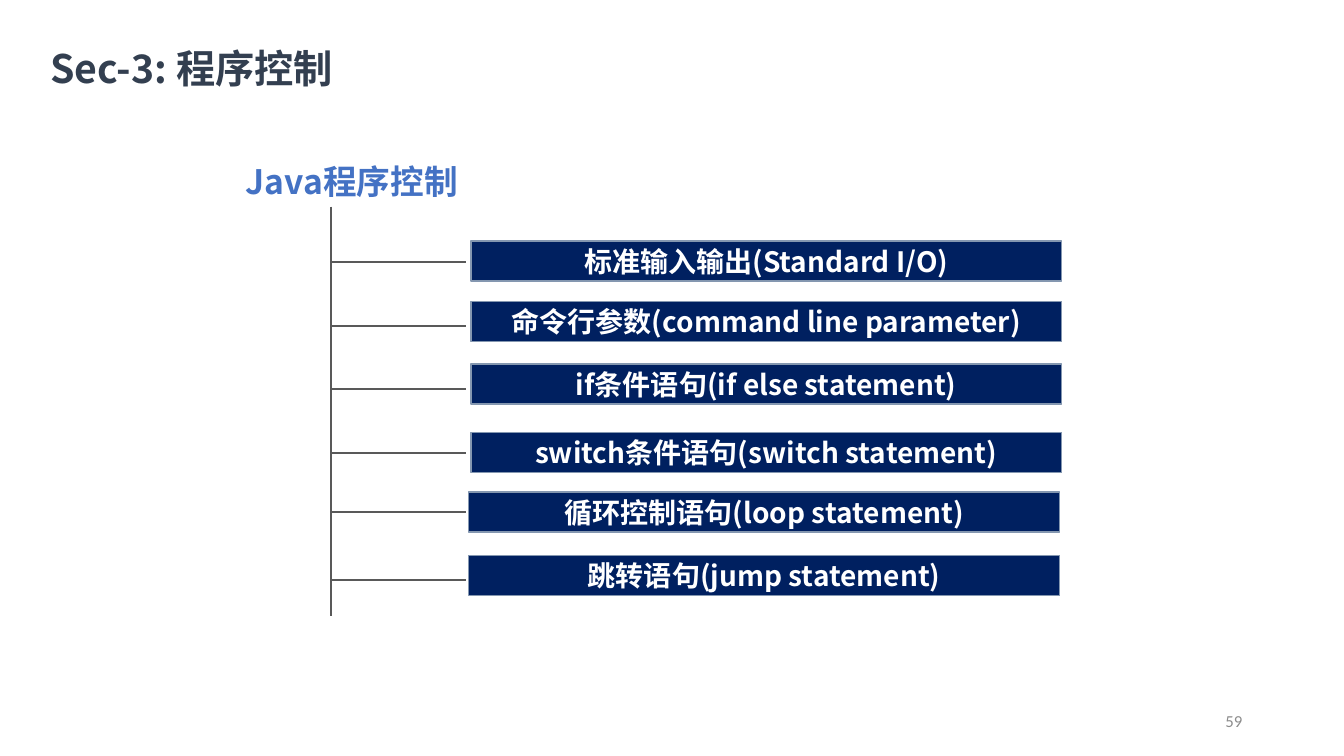
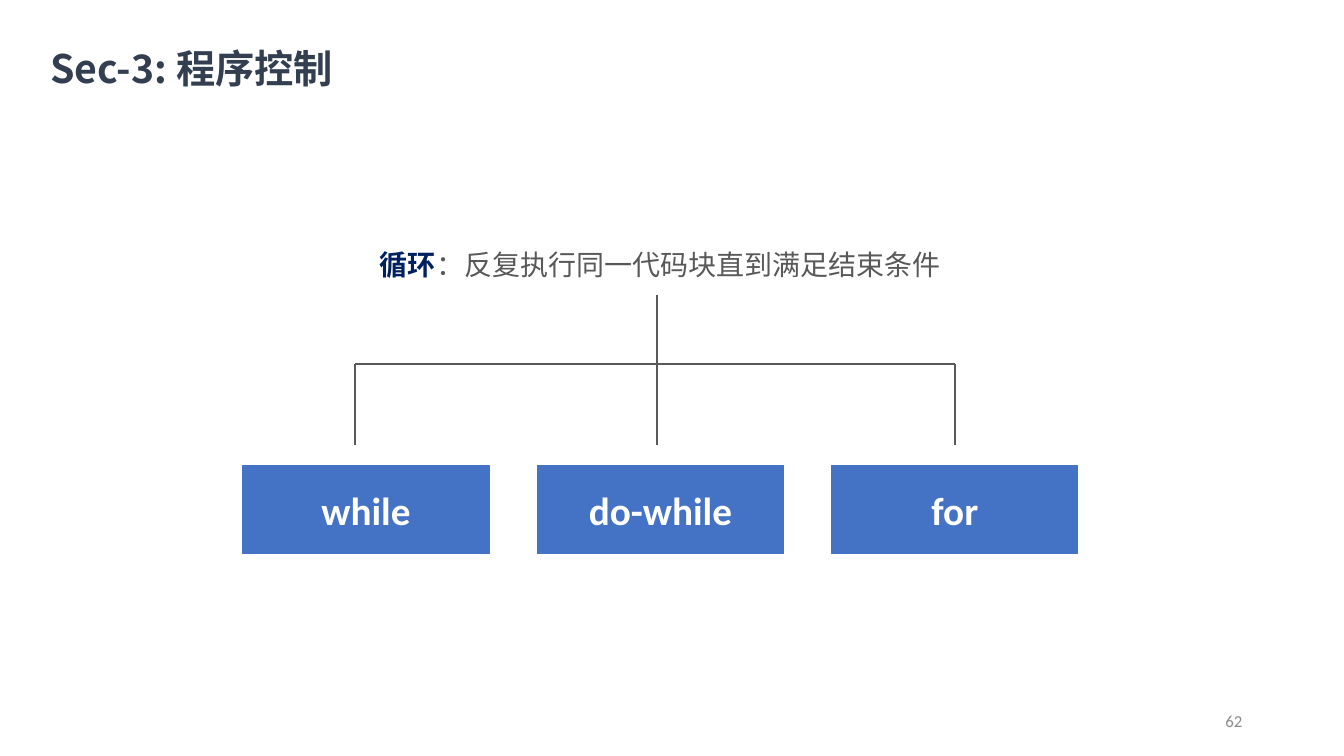
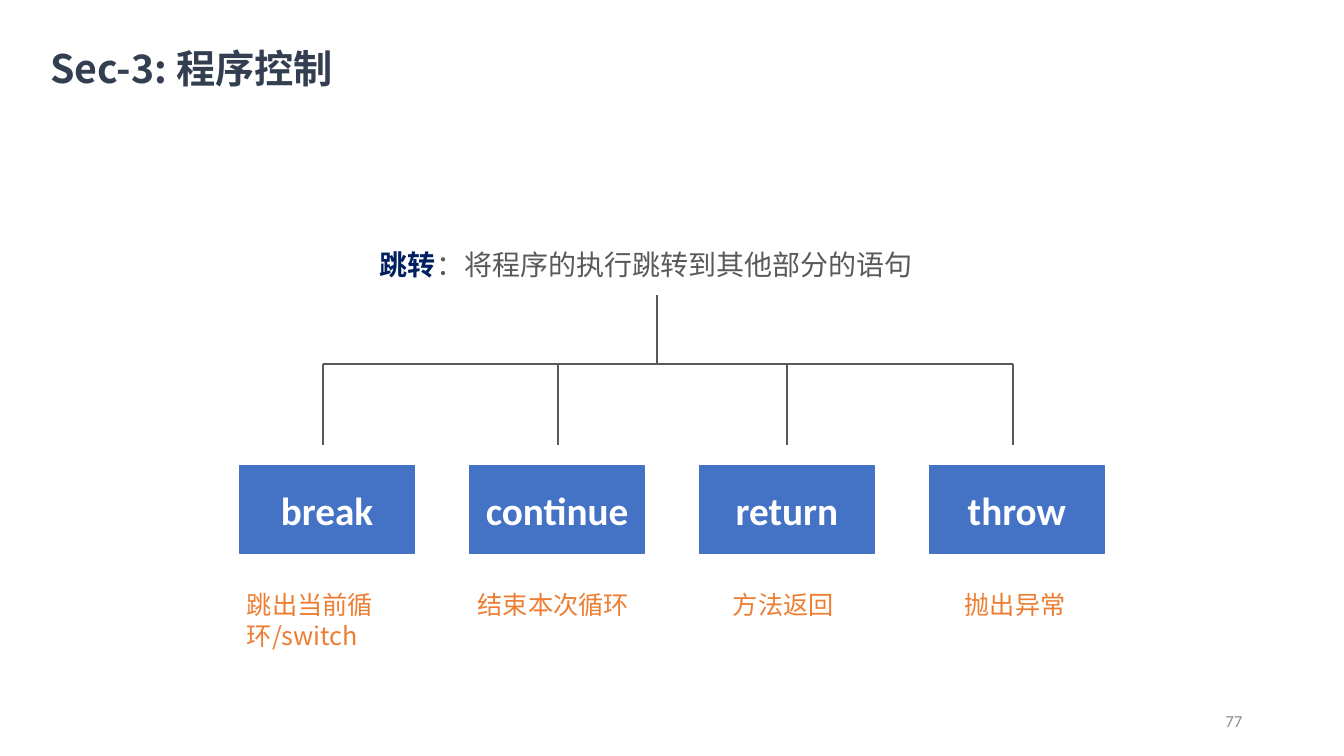
"""Build three slides that outline program control in Java."""
from dataclasses import dataclass

import lxml.etree
import pptx
import pptx.dml.color
import pptx.enum.shapes
import pptx.enum.text
import pptx.oxml.ns
import pptx.presentation
import pptx.shapes.autoshape
import pptx.slide
import pptx.util

Inches = pptx.util.Inches
RGBColor = pptx.dml.color.RGBColor
Align = pptx.enum.text.PP_ALIGN
Anchor = pptx.enum.text.MSO_ANCHOR

SLATE = RGBColor(0x33, 0x3F, 0x50)
NAVY = RGBColor(0x00, 0x20, 0x60)
BLUE = RGBColor(0x44, 0x72, 0xC4)
STEEL = RGBColor(0x84, 0x97, 0xB0)
ORANGE = RGBColor(0xED, 0x7D, 0x31)
DARK_GRAY = RGBColor(0x59, 0x59, 0x59)
LIGHT_GRAY = RGBColor(0x8C, 0x8C, 0x8C)
WHITE = RGBColor(0xFF, 0xFF, 0xFF)

CHINESE_FONT = "Noto Sans CJK SC"
LATIN_FONT = "Calibri"
SECTION_TITLE = "Sec-3: 程序控制"

TRUNK_LEFT = 3.28
BRANCH_LENGTH = 1.34
BAR_TOP = 3.61
DROP_BOTTOM = 4.41


@dataclass(frozen=True)
class Topic:
    """One bar of the outline and the height of its branch."""
    text: str
    left: float
    top: float
    branch_top: float


@dataclass(frozen=True)
class Note:
    """A remark below a keyword box."""
    text: str
    left: float
    width: float
    wrap: bool = False


@dataclass(frozen=True)
class Tree:
    """A definition that branches into equally spaced keyword boxes."""
    page: int
    term: str
    definition: str
    keywords: tuple[str, ...]
    first_left: float
    pitch: float
    box_width: float
    drops: tuple[float, ...]
    notes: tuple[Note, ...] = ()


TOPICS = (
    Topic("标准输入输出(Standard I/O)", 4.67, 2.39, 2.6),
    Topic("命令行参数(command line parameter)", 4.67, 2.99, 3.23),
    Topic("if条件语句(if else statement)", 4.67, 3.61, 3.86),
    Topic("switch条件语句(switch statement)", 4.67, 4.29, 4.49),
    Topic("循环控制语句(loop statement)", 4.65, 4.88, 5.08),
    Topic("跳转语句(jump statement)", 4.65, 5.51, 5.75),
)

TREES = (
    Tree(62, "循环", "：反复执行同一代码块直到满足结束条件",
         ("while", "do-while", "for"), 2.41, 2.92, 2.44, (3.52, 6.52, 9.47)),
    Tree(77, "跳转", "：将程序的执行跳转到其他部分的语句",
         ("break", "continue", "return", "throw"), 2.38, 2.28, 1.73,
         (3.2, 5.53, 7.81, 10.05),
         (Note("跳出当前循环/switch", 2.35, 1.76, wrap=True),
          Note("结束本次循环", 4.64, 1.72),
          Note("方法返回", 7.17, 1.21),
          Note("抛出异常", 9.47, 1.21))),
)


def add_text(shape: pptx.shapes.autoshape.Shape, text: str, *, size: float,
             color: RGBColor, font: str = CHINESE_FONT, bold: bool = False,
             align: Align = Align.LEFT, anchor: Anchor = Anchor.TOP,
             wrap: bool = True) -> None:
    """Append a formatted run to the first paragraph of a shape."""
    frame = shape.text_frame
    frame.word_wrap = wrap
    frame.vertical_anchor = anchor
    paragraph = frame.paragraphs[0]
    paragraph.alignment = align
    run = paragraph.add_run()
    run.text = text
    run.font.size = pptx.util.Pt(size)
    run.font.bold = bold
    run.font.color.rgb = color
    run.font.name = font
    east_asian = lxml.etree.SubElement(
        run.font._element, pptx.oxml.ns.qn("a:ea"))
    east_asian.set("typeface", font)


def add_box(slide: pptx.slide.Slide, left: float, top: float, width: float,
            height: float) -> pptx.shapes.autoshape.Shape:
    """Add an empty text box."""
    return slide.shapes.add_textbox(
        Inches(left), Inches(top), Inches(width), Inches(height))


def add_bar(slide: pptx.slide.Slide, text: str, left: float, top: float,
            width: float, height: float, *, fill: RGBColor, outline: RGBColor,
            size: float, font: str = CHINESE_FONT) -> None:
    """Add a filled rectangle with bold white centred text."""
    shape = slide.shapes.add_shape(
        pptx.enum.shapes.MSO_SHAPE.RECTANGLE,
        Inches(left), Inches(top), Inches(width), Inches(height))
    shape.shadow.inherit = False
    shape.fill.solid()
    shape.fill.fore_color.rgb = fill
    shape.line.color.rgb = outline
    shape.line.width = pptx.util.Pt(1)
    add_text(shape, text, size=size, color=WHITE, font=font, bold=True,
             align=Align.CENTER, anchor=Anchor.MIDDLE)


def add_line(slide: pptx.slide.Slide, start_x: float, start_y: float,
             end_x: float, end_y: float) -> None:
    """Add a plain gray line."""
    line = slide.shapes.add_connector(
        pptx.enum.shapes.MSO_CONNECTOR.STRAIGHT,
        Inches(start_x), Inches(start_y), Inches(end_x), Inches(end_y))
    line.line.color.rgb = DARK_GRAY
    line.line.width = pptx.util.Pt(1.5)
    lxml.etree.SubElement(
        line._element.spPr, pptx.oxml.ns.qn("a:effectLst"))


def add_slide(presentation: pptx.presentation.Presentation,
              page: int) -> pptx.slide.Slide:
    """Add a blank slide with the section title and page number."""
    slide = presentation.slides.add_slide(presentation.slide_layouts[6])
    number = add_box(slide, 9.42, 6.95, 3, 0.4)
    add_text(number, str(page), size=12, color=LIGHT_GRAY, font=LATIN_FONT,
             align=Align.RIGHT, anchor=Anchor.MIDDLE)
    title = add_box(slide, 0.5, 0.42, 6.48, 0.48)
    frame = title.text_frame
    frame.margin_left = frame.margin_right = frame.margin_bottom = 0
    frame.margin_top = Inches(0.02)
    add_text(title, SECTION_TITLE, size=28, color=SLATE, bold=True)
    return slide


def add_outline(presentation: pptx.presentation.Presentation) -> None:
    """Add the overview of topics hanging from a trunk line."""
    slide = add_slide(presentation, 59)
    heading = add_box(slide, 2.34, 1.55, 3.94, 0.5)
    add_text(heading, "Java程序控制", size=24, color=BLUE, bold=True)
    add_line(slide, TRUNK_LEFT, 2.05, TRUNK_LEFT, 6.11)
    for topic in TOPICS:
        add_line(slide, TRUNK_LEFT, topic.branch_top,
                 TRUNK_LEFT + BRANCH_LENGTH, topic.branch_top)
        add_bar(slide, topic.text, topic.left, topic.top, 5.86, 0.4,
                fill=NAVY, outline=STEEL, size=20)


def add_tree(presentation: pptx.presentation.Presentation,
             tree: Tree) -> None:
    """Add a definition with its keyword boxes and notes."""
    slide = add_slide(presentation, tree.page)
    definition = add_box(slide, 3.67, 2.41, 6.14, 0.44)
    add_text(definition, tree.term, size=20, color=NAVY, bold=True)
    add_text(definition, tree.definition, size=20, color=DARK_GRAY)
    add_line(slide, 6.52, 2.93, 6.52, BAR_TOP)
    add_line(slide, tree.drops[0], BAR_TOP, tree.drops[-1], BAR_TOP)
    for drop in tree.drops:
        add_line(slide, drop, BAR_TOP, drop, DROP_BOTTOM)
    for index, keyword in enumerate(tree.keywords):
        add_bar(slide, keyword, tree.first_left + index * tree.pitch, 4.62,
                tree.box_width, 0.87, fill=BLUE, outline=BLUE, size=28,
                font=LATIN_FONT)
    for note in tree.notes:
        box = add_box(slide, note.left, 5.8, note.width, 0.4)
        add_text(box, note.text, size=18, color=ORANGE, wrap=note.wrap)


def main() -> None:
    """Build and save the presentation."""
    presentation = pptx.Presentation()
    presentation.slide_width = Inches(13.33)
    presentation.slide_height = Inches(7.5)
    add_outline(presentation)
    for tree in TREES:
        add_tree(presentation, tree)
    presentation.save("out.pptx")


if __name__ == "__main__":
    main()
